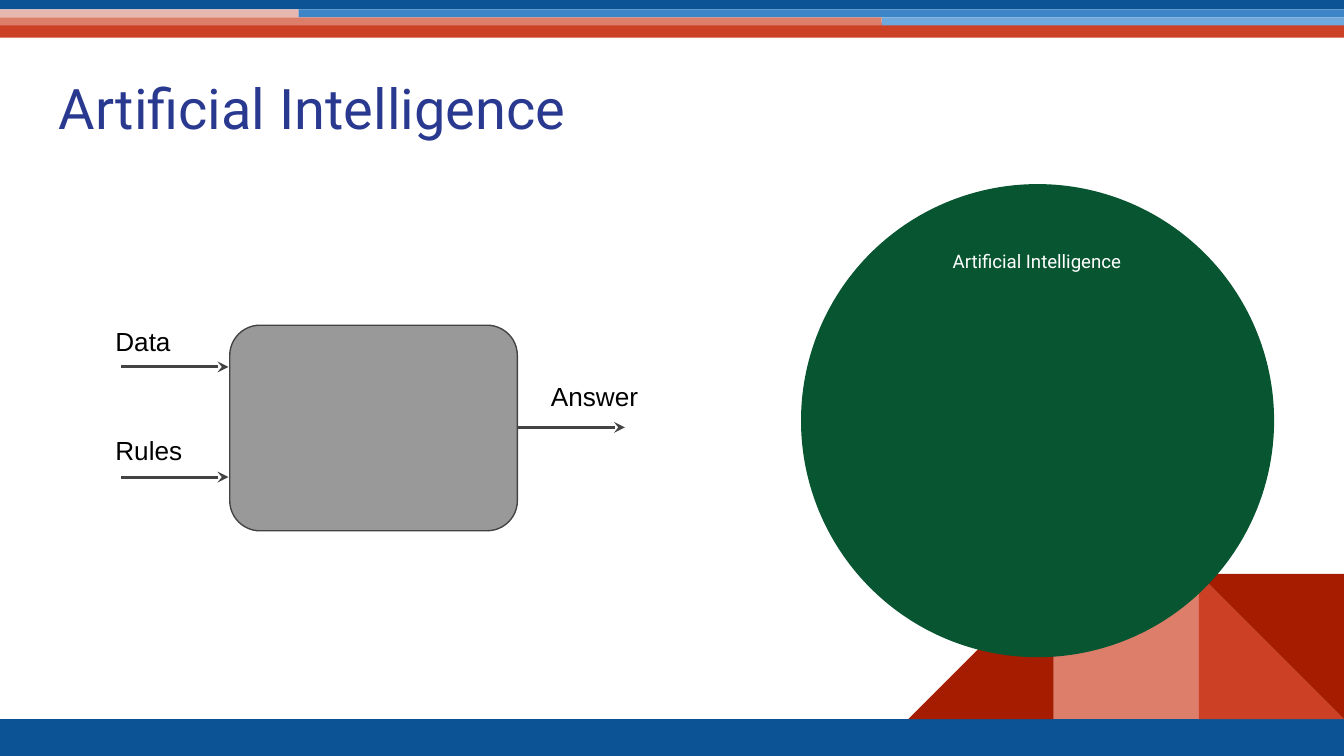
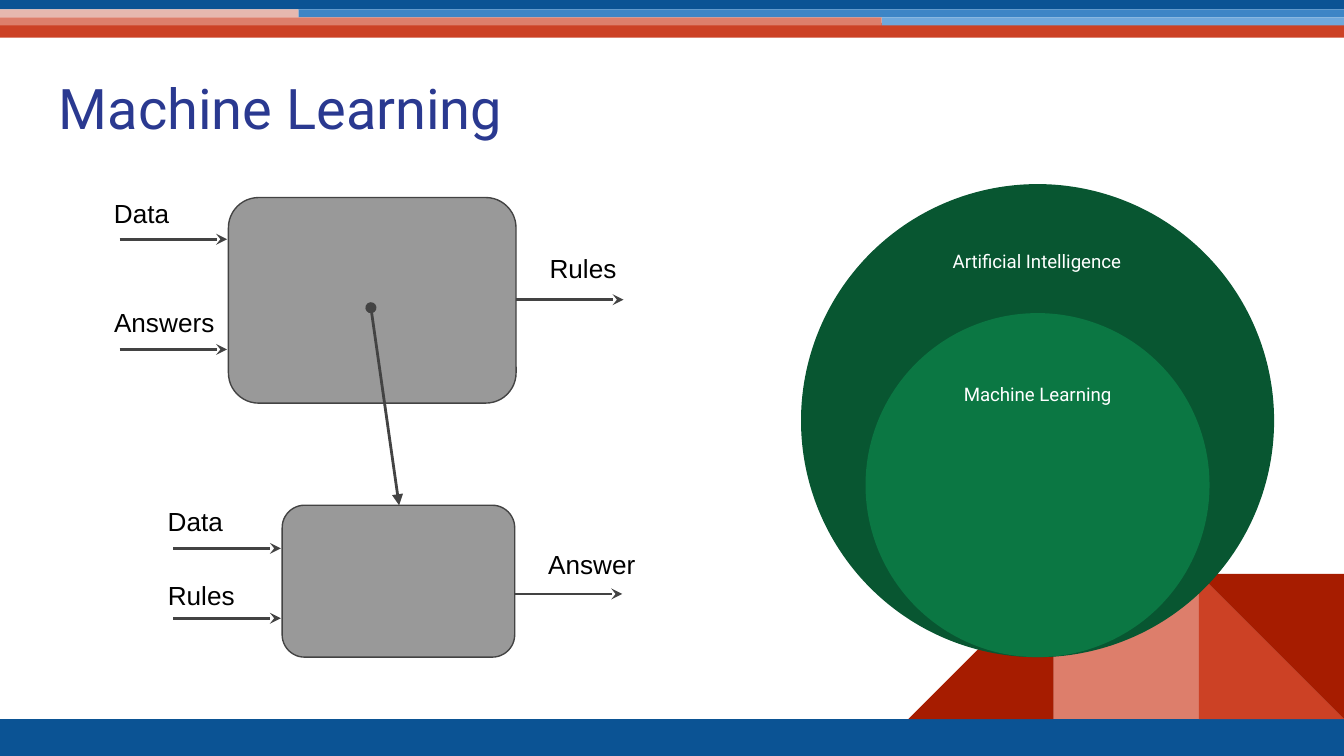
from lxml import etree
from pptx import Presentation
from pptx.dml.color import RGBColor
from pptx.enum.shapes import MSO_CONNECTOR, MSO_SHAPE as SHAPE
from pptx.enum.text import MSO_ANCHOR as ANCHOR, PP_ALIGN as ALIGN
from pptx.oxml.ns import qn
from pptx.util import Emu, Pt

PX = 9144  # EMU per px, 100 px to the inch
rgb = RGBColor.from_string

NAVY, BLUE, SKY = "0B5394", "3D85C6", "6FA8DC"
BRICK, RUST, CORAL, BLUSH = "A61C00", "CC4125", "DD7E6B", "E6B8AF"
TITLE, WHITE, BLACK, GREY, DARK = "2A3990", "FFFFFF", "000000", "999999", "434343"
FOREST, GREEN = "085631", "0B7743"


def add_shape(shapes, kind, box, fill, line=None):
    sp = shapes.add_shape(kind, *[Emu(v * PX) for v in box])
    sp.shadow.inherit = False
    sp.fill.solid()
    sp.fill.fore_color.rgb = rgb(fill)
    if line:
        sp.line.color.rgb = rgb(line)
        sp.line.width = Pt(0.75)
    else:
        sp.line.fill.background()
    return sp


def add_text(shapes, text, box, font, size, color, align=ALIGN.LEFT, anchor=ANCHOR.TOP):
    tf = shapes.add_textbox(*[Emu(v * PX) for v in box]).text_frame
    tf.word_wrap = True
    tf.vertical_anchor = anchor
    tf.margin_left = tf.margin_right = tf.margin_top = tf.margin_bottom = Emu(10 * PX)
    p = tf.paragraphs[0]
    p.text = text
    p.alignment = align
    p.font.name, p.font.size = font, Pt(size)
    p.font.color.rgb = rgb(color)


# Shared bands: box, fill
bands = [
    ((0, 17, 1000, 11), RUST),
    ((784, 427, 108, 108), CORAL),
    ((0, 535, 1000, 28), NAVY),
    ((0, -4, 1000, 11), NAVY),
    ((222, 7, 778, 6), BLUE),
    ((656, 13, 344, 6), SKY),
    ((0, 7, 222, 6), BLUSH),
    ((0, 13, 656, 6), CORAL),
]
# Shared corner triangles: left, fill, rotation, mirrored
triangles = [(892, RUST, 0, False), (676, BRICK, 0, True), (892, BRICK, 180, False)]

# Nested circles: circle box, fill, label box, label
ai = ((596, 137, 352, 352), FOREST, (685, 163, 173, 62), "Artificial Intelligence")
ml = ((644, 233, 256, 256), GREEN, (691, 264, 162, 58), "Machine Learning")

# Machines: box, then inputs and output as (text, arrow y, label top, label width)
slides = [
    ("Artificial Intelligence", [ai], [
        ((171, 242, 214, 153),
         [("Data", 273, 232, 80), ("Rules", 355, 313, 91)],
         ("Answer", 318, 273, 111)),
    ], []),
    ("Machine Learning", [ai, ml], [
        ((170, 147, 214, 153),
         [("Data", 178, 137, 80), ("Answers", 260, 218, 95)],
         ("Rules", 223, 178, 111)),
        ((210, 376, 173, 113),
         [("Data", 408, 366, 80), ("Rules", 460, 421, 91)],
         ("Answer", 442, 398, 111)),
    ], [(276, 229, 297, 376, "oval", "triangle")]),
]

prs = Presentation()
prs.slide_width, prs.slide_height = Emu(1000 * PX), Emu(5143500)

for title, circles, machines, links in slides:
    s = prs.slides.add_slide(prs.slide_layouts[6])

    # Bands, corner and title
    for box, fill in bands:
        add_shape(s.shapes, SHAPE.RECTANGLE, box, fill)
    for left, fill, rotation, mirrored in triangles:
        sp = add_shape(s.shapes, SHAPE.RIGHT_TRIANGLE, (left, 427, 108, 108), fill)
        sp.rotation = rotation
        if mirrored:
            sp._element.spPr.find(qn("a:xfrm")).set("flipH", "1")
    add_text(s.shapes, title, (34, 45, 932, 66), "Roboto", 30, TITLE)

    # Nested circles
    for box, fill, label_box, label in circles:
        group = s.shapes.add_group_shape().shapes
        add_shape(group, SHAPE.OVAL, box, fill)
        add_text(group, label, label_box, "Roboto", 10, WHITE, ALIGN.CENTER, ANCHOR.MIDDLE)

    # Machines with their labels
    arrows = []
    for box, inputs, output in machines:
        sp = add_shape(s.shapes, SHAPE.ROUNDED_RECTANGLE, box, GREY, DARK)
        sp.adjustments[0] = 0.147
        left, right = box[0], box[0] + box[2]
        flows = [(left - 81, left - 95, flow) for flow in inputs]
        flows.append((right, right + 15, output))
        for start, label_left, (text, y, top, width) in flows:
            arrows.append((start, y, start + 80, y, None, "stealth"))
            add_text(s.shapes, text, (label_left, top, width, 42), "Arial", 14, BLACK)

    # Arrows
    for x1, y1, x2, y2, head, tail in arrows + links:
        ends = [Emu(v * PX) for v in (x1, y1, x2, y2)]
        c = s.shapes.add_connector(MSO_CONNECTOR.STRAIGHT, *ends)
        c.line.color.rgb = rgb(DARK)
        c.line.width = Pt(1.5)
        ln = c.line._get_or_add_ln()
        for tag, end in (("a:headEnd", head), ("a:tailEnd", tail)):
            if end:
                etree.SubElement(ln, qn(tag), type=end)
        etree.SubElement(c._element.spPr, qn("a:effectLst"))

prs.save("out.pptx")
